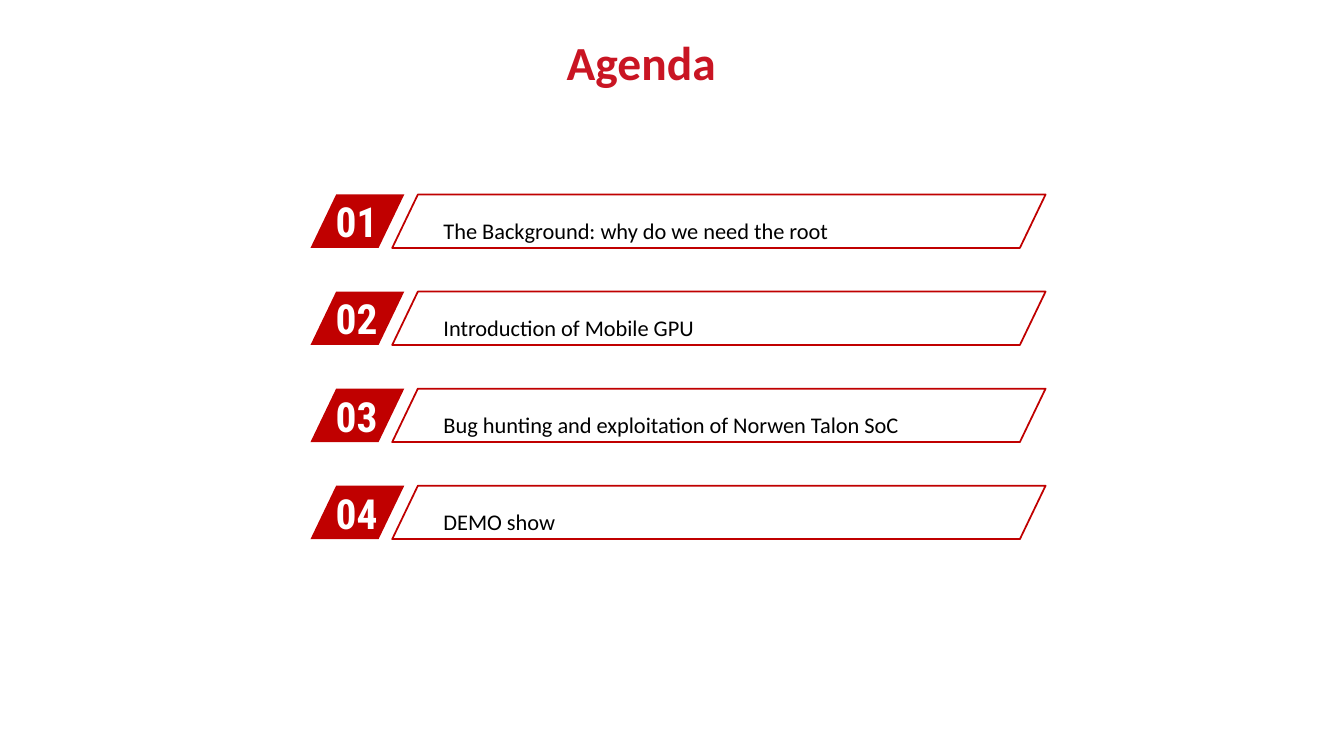
from pptx import Presentation
from pptx.dml.color import RGBColor
from pptx.enum import shapes, text
from pptx.util import Inches, Pt

HUES = {"title": "C91523", "red": "C00000", "white": "FFFFFF", "black": "000000"}


def write(box, words, size, hue, font="Calibri", bold=False, space=1.0,
          fit=text.MSO_AUTO_SIZE.SHAPE_TO_FIT_TEXT):
    frame = box.text_frame
    frame.word_wrap = True
    frame.auto_size = fit
    frame.vertical_anchor = text.MSO_ANCHOR.TOP
    para = frame.paragraphs[0]
    para.alignment = text.PP_ALIGN.LEFT
    para.line_spacing = space
    run = para.add_run()
    run.text = words
    run.font.name = font
    run.font.size = Pt(size)
    run.font.bold = bold
    run.font.color.rgb = RGBColor.from_string(HUES[hue])


def slant(group, left, top, width):
    shape = group.shapes.add_shape(shapes.MSO_SHAPE.PARALLELOGRAM, Inches(left),
                                   Inches(top), Inches(width), Inches(0.53))
    shape.adjustments[0] = 0.48
    shape.shadow.inherit = False
    return shape


deck = Presentation()
deck.slide_width = Inches(13.33)
deck.slide_height = Inches(7.5)
slide = deck.slides.add_slide(deck.slide_layouts[5])

title = slide.shapes.title
title.left, title.top = Inches(5.52), Inches(0.34)
title.width, title.height = Inches(1.85), Inches(0.75)
write(title, "Agenda", 33.9, "title", bold=True, space=0.9,
      fit=text.MSO_AUTO_SIZE.NONE)

topics = [
    ("The Background: why do we need the root", 4.07),
    ("Introduction of Mobile GPU", 2.8),
    ("Bug hunting and exploitation of Norwen Talon SoC", 6.37),
    ("DEMO show", 1.33),
]
red = RGBColor.from_string(HUES["red"])

for row, (topic, width) in enumerate(topics):
    top = 1.93 + row * 0.963
    group = slide.shapes.add_group_shape()

    badge = slant(group, 3.08, top, 0.93)
    badge.fill.solid()
    badge.fill.fore_color.rgb = red
    badge.line.fill.background()

    label = group.shapes.add_textbox(Inches(3.23), Inches(top - 0.03),
                                     Inches(0.89), Inches(0.6))
    write(label, f"{row + 1:02}", 29.6, "white", font="Roboto Condensed", bold=True)

    bar = slant(group, 3.89, top, 6.48)
    bar.fill.background()
    bar.line.color.rgb = red
    bar.line.width = Pt(1.25)

    entry = group.shapes.add_textbox(Inches(4.3), Inches(top + 0.04),
                                     Inches(width), Inches(0.46))
    write(entry, topic, 16, "black", space=1.5)

deck.save("out.pptx")
